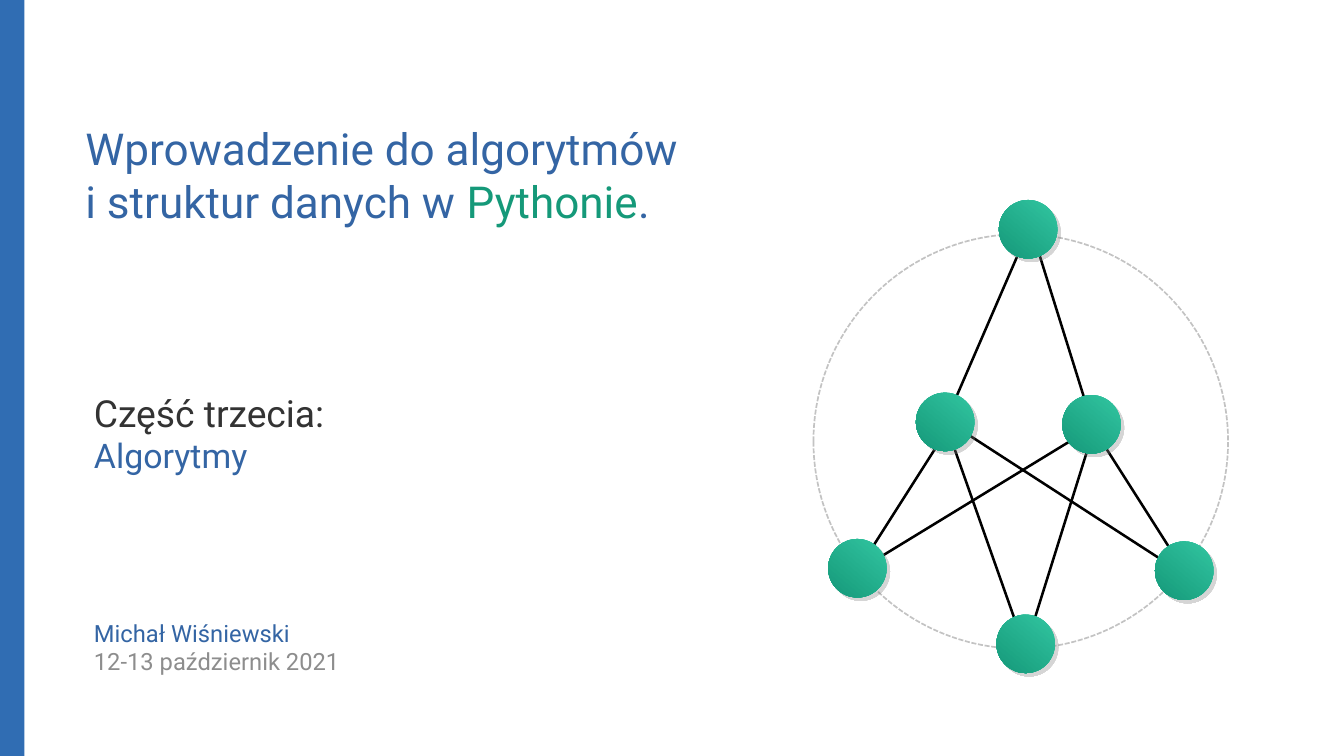
from lxml import etree
from pptx import Presentation
from pptx.dml.color import RGBColor
from pptx.enum.dml import MSO_LINE
from pptx.enum.shapes import MSO_CONNECTOR, MSO_SHAPE
from pptx.enum.text import MSO_ANCHOR, MSO_AUTO_SIZE, PP_ALIGN
from pptx.oxml.ns import qn
from pptx.util import Inches, Pt

DASHED = MSO_LINE.SQUARE_DOT
STRAIGHT = MSO_CONNECTOR.STRAIGHT
OVAL, RECTANGLE = MSO_SHAPE.OVAL, MSO_SHAPE.RECTANGLE
MIDDLE, TOP = MSO_ANCHOR.MIDDLE, MSO_ANCHOR.TOP
NO_FIT = MSO_AUTO_SIZE.NONE
LEFT = PP_ALIGN.LEFT

# Content
FONT = "Roboto"
COLORS = {
    "bar": "306DB3", "blue": "3465A4", "green": "159979", "mint": "32C5A1",
    "dark": "333333", "grey": "8D8D8D", "ring": "C3C3C3",
    "edge": "000000", "shadow": "808080",
}
TITLE_LINES = [
    [("Wprowadzenie do algorytmów", "blue")],
    [("i struktur danych w ", "blue"), ("Pythonie", "green"), (".", "blue")],
]
BODY_LINES = [  # text, size, color, space before in points
    ("Część trzecia:", 22, "dark", 0),
    ("Algorytmy", 20, "blue", 0),
    ("Michał Wiśniewski", 14, "blue", 84.5),
    ("12-13 październik 2021", 14, "grey", 0),
]
NODE_SIZE = 0.48
NODES = [  # left, top
    (8.19, 1.64),
    (7.51, 3.22), (8.71, 3.24),
    (6.79, 4.42), (8.17, 5.04), (9.47, 4.44),
]
EDGES = [  # from, to
    ((8.42, 1.92), (7.77, 3.42)), ((8.47, 1.92), (8.97, 3.52)),
    ((7.77, 3.52), (7.07, 4.62)), ((7.77, 3.52), (8.37, 5.22)),
    ((7.87, 3.52), (9.57, 4.62)), ((8.87, 3.56), (6.97, 4.72)),
    ((8.97, 3.52), (8.47, 5.12)), ((8.97, 3.52), (9.67, 4.62)),
]


def rgb(name):
    return RGBColor.from_string(COLORS[name])


def place(box, left, top, width, height):
    box.left, box.top = Inches(left), Inches(top)
    box.width, box.height = Inches(width), Inches(height)


def prepare_frame(box, anchor):
    frame = box.text_frame
    frame.margin_left = frame.margin_right = 0
    frame.margin_top = frame.margin_bottom = 0
    frame.word_wrap = True
    frame.auto_size = NO_FIT
    frame.vertical_anchor = anchor
    return frame


def add_span(para, text, size, color):
    span = para.add_run()
    span.text = text
    span.font.name = FONT
    span.font.size = Pt(size)
    span.font.color.rgb = rgb(color)


def add_shape(page, kind, left, top, width, height):
    shape = page.shapes.add_shape(
        kind, Inches(left), Inches(top), Inches(width), Inches(height))
    shape.shadow.inherit = False
    return shape


def add_edge(page, start, end):
    line = page.shapes.add_connector(
        STRAIGHT, *(Inches(value) for value in start + end))
    line.line.color.rgb = rgb("edge")
    line.line.width = Pt(1.5)
    etree.SubElement(line.element.spPr, qn("a:effectLst"))


def add_node(page, left, top):
    node = add_shape(page, OVAL, left, top, NODE_SIZE, NODE_SIZE)
    node.line.fill.background()
    node.fill.gradient()
    node.fill.gradient_angle = 230
    for stop, color in zip(node.fill.gradient_stops, ("mint", "green")):
        stop.color.rgb = rgb(color)
    effects = node.element.spPr.find(qn("a:effectLst"))
    shadow = etree.SubElement(
        effects, qn("a:outerShdw"), blurRad="0", dist=str(Pt(2.8)),
        dir="2700000", algn="tl", rotWithShape="0")
    tint = etree.SubElement(shadow, qn("a:srgbClr"), val=COLORS["shadow"])
    etree.SubElement(tint, qn("a:alpha"), val="32000")


deck = Presentation()
deck.slide_width, deck.slide_height = Inches(11.02), Inches(6.2)
page = deck.slides.add_slide(deck.slide_layouts[1])
title, body = page.placeholders

# Side bar
bar = add_shape(page, RECTANGLE, 0, 0, 0.2, 6.2)
bar.fill.solid()
bar.fill.fore_color.rgb = rgb("bar")
bar.line.fill.background()

# Title
place(title, 0.7, 0.8, 5.6, 1.26)
para = prepare_frame(title, MIDDLE).paragraphs[0]
para.alignment = LEFT
for index, spans in enumerate(TITLE_LINES):
    if index:
        para.add_line_break()
    for text, color in spans:
        add_span(para, text, 26, color)

# Part name, author and date
place(body, 0.3, 3.2, 6.62, 2.9)
frame = prepare_frame(body, TOP)
for index, (text, size, color, gap) in enumerate(BODY_LINES):
    para = frame.add_paragraph() if index else frame.paragraphs[0]
    para.alignment = LEFT
    para.space_before = Pt(gap)
    add_span(para, text, size, color)
    props = para._p.get_or_add_pPr()
    props.set("marL", str(Inches(0.47)))
    props.set("indent", "0")
    etree.SubElement(props, qn("a:buNone"))

# Graph: ring, then edges, then nodes on top
ring = add_shape(page, OVAL, 6.67, 1.92, 3.4, 3.4)
ring.fill.background()
ring.line.color.rgb = rgb("ring")
ring.line.width = Pt(1)
ring.line.dash_style = DASHED
for start, end in EDGES:
    add_edge(page, start, end)
for left, top in NODES:
    add_node(page, left, top)

deck.save("out.pptx")
